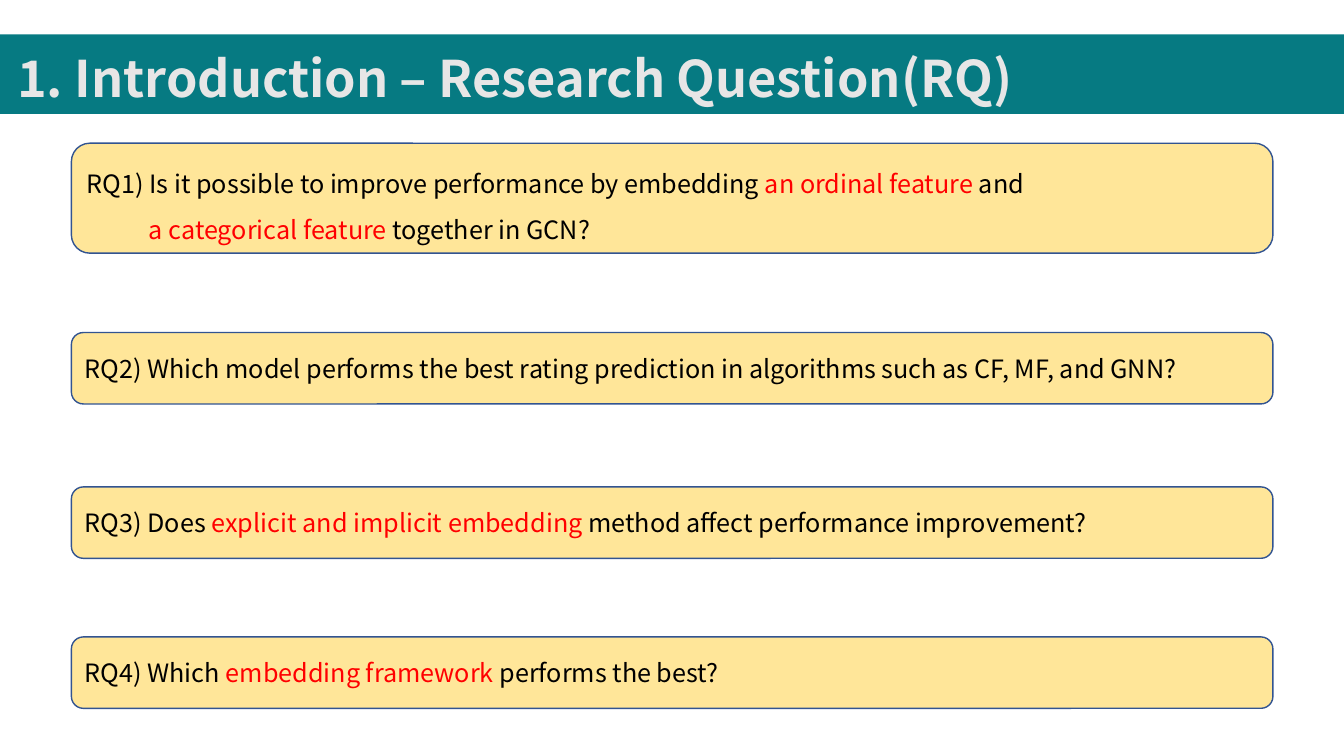
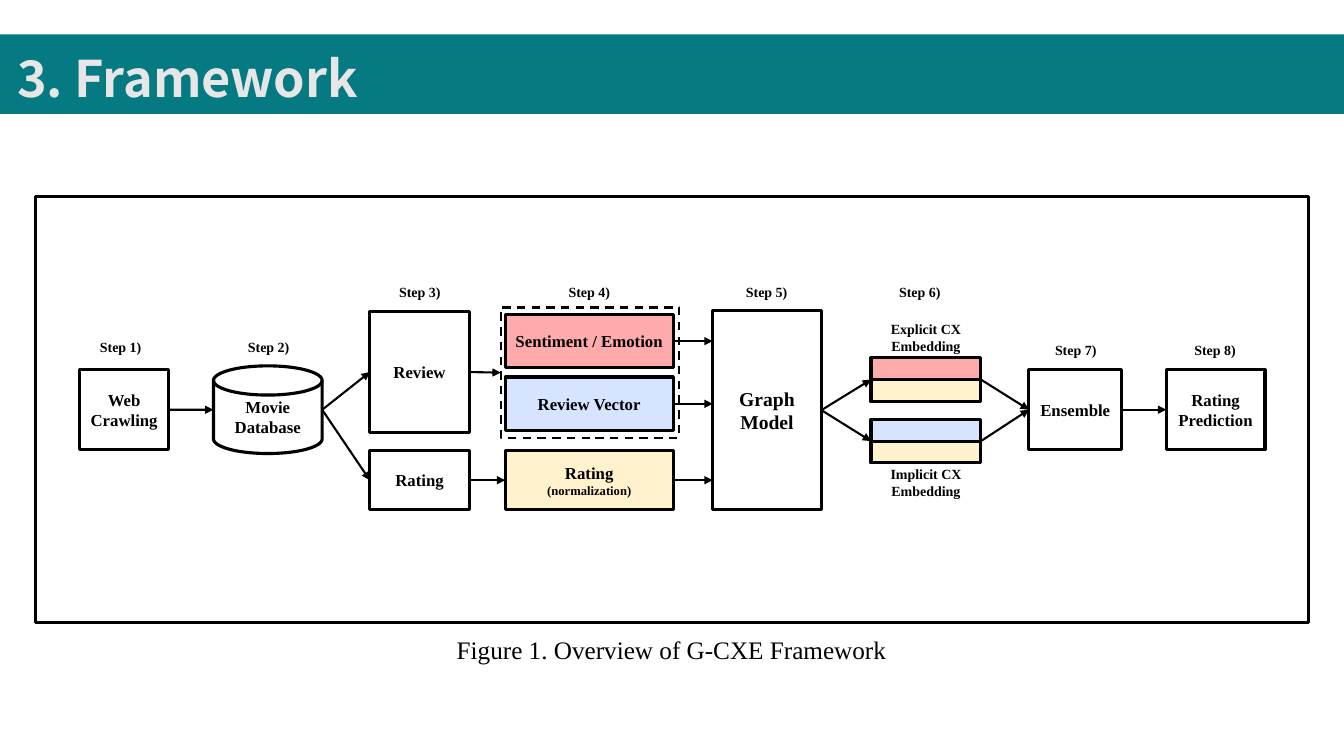
from dataclasses import dataclass

from lxml import etree
from pptx import Presentation
from pptx.dml.color import RGBColor
from pptx.enum.dml import MSO_LINE
from pptx.enum.shapes import MSO_CONNECTOR, MSO_SHAPE
from pptx.enum.text import MSO_ANCHOR, MSO_AUTO_SIZE, PP_ALIGN
from pptx.oxml.ns import qn
from pptx.util import Cm, Pt

RECT = MSO_SHAPE.RECTANGLE
ROUND = MSO_SHAPE.ROUNDED_RECTANGLE
DISK = MSO_SHAPE.FLOWCHART_MAGNETIC_DISK
STRAIGHT = MSO_CONNECTOR.STRAIGHT
DASH = MSO_LINE.DASH
LEFT, CENTER = PP_ALIGN.LEFT, PP_ALIGN.CENTER
TOP, MIDDLE = MSO_ANCHOR.TOP, MSO_ANCHOR.MIDDLE
GROW = MSO_AUTO_SIZE.SHAPE_TO_FIT_TEXT


@dataclass(frozen=True)
class Theme:
    """Colours, fonts and type sizes of the deck."""
    teal: str = "067A82"
    pale: str = "E7E6E6"
    ink: str = "000000"
    red: str = "FF0000"
    white: str = "FFFFFF"
    amber: str = "FFE699"
    navy: str = "325491"
    cream: str = "FFF2CC"
    pink: str = "FFABAB"
    sky: str = "D7E4FF"
    sans: str = "Noto Sans CJK KR"
    serif: str = "Times New Roman"
    title: int = 36
    body: int = 18
    model: int = 14
    node: int = 12
    label: int = 10
    note: int = 9
    border: float = 2.25
    thin: float = 1.5


T = Theme()
SLIDE_W, SLIDE_H = 33.87, 19.05

QUESTIONS = [
    (3.61, 2.77, ["RQ1) Is it possible to improve performance by embedding ",
                  "an ordinal feature ", "and\n",
                  "a categorical feature ", "together in GCN?"]),
    (8.38, 1.8, ["RQ2) Which model performs the best rating prediction "
                 "in algorithms such as CF, MF, and GNN?"]),
    (12.27, 1.8, ["RQ3) Does ", "explicit and implicit embedding",
                  " method affect performance improvement?"]),
    (16.05, 1.8, ["RQ4) Which ", "embedding framework",
                  " performs the best?"]),
]

STEPS = [(3.04, 8.41), (6.77, 8.41), (10.58, 7.01), (14.85, 7.01),
         (19.32, 7.01), (23.18, 7.01), (27.11, 8.48), (30.62, 8.48)]


def rgb(value):
    """Turn a hex string into a colour."""
    return RGBColor.from_string(value)


def write(s, *runs, size=T.node, font=T.serif, color=T.ink, bold=False,
          align=CENTER, anchor=MIDDLE, spacing=None, indent=0, wrap=True):
    """Write runs, given as text or (text, overrides); a newline starts a paragraph."""
    tf = s.text_frame
    tf.word_wrap = wrap
    tf.vertical_anchor = anchor
    p = tf.paragraphs[0]
    for run in runs:
        text, override = (run, {}) if isinstance(run, str) else run
        for i, part in enumerate(text.split("\n")):
            if i:
                p = tf.add_paragraph()
                if indent:
                    p._p.get_or_add_pPr().set("marL", str(Cm(indent)))
            p.alignment = align
            p.line_spacing = spacing
            if part:
                r = p.add_run()
                r.text = part
                r.font.name = font
                r.font.size = Pt(override.get("size", size))
                r.font.bold = bold
                r.font.color.rgb = rgb(override.get("color", color))


def add_box(slide, x, y, w, h, kind=RECT, fill=None, line=T.ink,
            width=T.border, dash=None):
    """Add a preset shape with an optional fill and outline."""
    s = slide.shapes.add_shape(kind, Cm(x), Cm(y), Cm(w), Cm(h))
    s.shadow.inherit = False
    if fill:
        s.fill.solid()
        s.fill.fore_color.rgb = rgb(fill)
    else:
        s.fill.background()
    if line:
        s.line.color.rgb = rgb(line)
        s.line.width = Pt(width)
        if dash:
            s.line.dash_style = dash
    else:
        s.line.fill.background()
    return s


def add_text(slide, x, y, w, h, text, **style):
    """Add a text box that grows with its text."""
    s = slide.shapes.add_textbox(Cm(x), Cm(y), Cm(w), Cm(h))
    s.text_frame.auto_size = GROW
    write(s, text, **style)


def add_node(slide, x, y, w, h, *runs, kind=RECT, fill=None, size=T.node):
    """Add a labelled step of the framework."""
    s = add_box(slide, x, y, w, h, kind=kind, fill=fill)
    write(s, *runs, size=size, bold=True, wrap=False)
    return s


def add_arrow(slide, src, dst, level=False):
    """Draw an arrow from the right of src to the left of dst."""
    y1 = src.top + src.height // 2
    y2 = y1 if level else dst.top + dst.height // 2
    c = slide.shapes.add_connector(STRAIGHT, src.left + src.width, y1,
                                   dst.left, y2)
    c.line.color.rgb = rgb(T.ink)
    c.line.width = Pt(T.thin)
    etree.SubElement(c.line._get_or_add_ln(), qn("a:tailEnd"), type="triangle")
    etree.SubElement(c._element.spPr, qn("a:effectLst"))


def add_embedding(slide, y, fill, label, label_y):
    """Add a two-colour embedding bar with its label."""
    x, w, h = 21.95, 2.77, 1.09
    bar = add_box(slide, x, y, w, h, fill=fill)
    add_box(slide, x, y + h / 2, w, h / 2, fill=T.cream)
    add_text(slide, x - 0.23, label_y, w + 0.46, 1.12, label,
             size=T.label, bold=True, anchor=TOP)
    return bar


def add_titled_slide(prs, title):
    """Add a blank slide with the title band."""
    slide = prs.slides.add_slide(prs.slide_layouts[6])
    add_box(slide, 0, 0.87, SLIDE_W, 2, fill=T.teal, line=None)
    add_text(slide, 0.18, 0.41, SLIDE_W - 0.18, 2.34, title, size=T.title,
             font=T.sans, color=T.pale, bold=True, align=LEFT, spacing=1.5)
    return slide


def build_questions(prs):
    """Build the research question slide."""
    slide = add_titled_slide(prs, "1. Introduction – Research Question(RQ)")
    for y, h, texts in QUESTIONS:
        s = add_box(slide, 1.8, y, 30.28, h, kind=ROUND, fill=T.amber,
                    line=T.navy, width=1)
        runs = [(text, {"color": T.red if i % 2 else T.ink})
                for i, text in enumerate(texts)]
        tall = len(texts) > 3
        write(s, *runs, size=T.body, font=T.sans, align=LEFT, indent=1.57,
              anchor=TOP if tall else MIDDLE, spacing=1.5 if tall else None)


def build_framework(prs):
    """Build the framework diagram slide."""
    slide = add_titled_slide(prs, "3. Framework")
    add_box(slide, 0.89, 4.95, 32.08, 10.74)
    add_text(slide, 10.36, 15.85, 13.13, 1.02,
             "Figure 1. Overview of G-CXE Framework", size=T.body, anchor=TOP)

    crawl = add_node(slide, 2.01, 9.32, 2.24, 2.01, "Web\nCrawling")
    database = add_node(slide, 5.38, 9.22, 2.74, 2.21, "Movie\nDatabase",
                        kind=DISK)
    review = add_node(slide, 9.32, 7.85, 2.51, 3.05, "Review")
    rating = add_node(slide, 9.32, 11.35, 2.51, 1.5, "Rating")
    features = add_box(slide, 12.62, 7.75, 4.5, 3.28, width=T.thin, dash=DASH)
    sentiment = add_node(slide, 12.73, 7.92, 4.24, 1.35,
                         "Sentiment / Emotion", fill=T.pink)
    vector = add_node(slide, 12.73, 9.5, 4.24, 1.35, "Review Vector",
                      fill=T.sky)
    normalized = add_node(slide, 12.73, 11.35, 4.24, 1.5, "Rating\n",
                          ("(normalization)", {"size": T.note}), fill=T.cream)
    graph = add_node(slide, 17.96, 7.82, 2.74, 5.03, "Graph\nModel",
                     fill=T.white, size=T.model)
    explicit = add_embedding(slide, 9.02, T.pink, "Explicit CX Embedding", 7.95)
    implicit = add_embedding(slide, 10.57, T.sky, "Implicit CX Embedding", 11.61)
    ensemble = add_node(slide, 25.93, 9.32, 2.34, 2.01, "Ensemble")
    prediction = add_node(slide, 29.39, 9.32, 2.49, 2.01, "Rating\nPrediction")

    for src, dst in [(crawl, database), (database, review), (database, rating),
                     (review, features), (rating, normalized),
                     (graph, explicit), (graph, implicit),
                     (explicit, ensemble), (implicit, ensemble),
                     (ensemble, prediction)]:
        add_arrow(slide, src, dst)
    for src in (sentiment, vector, normalized):
        add_arrow(slide, src, graph, level=True)

    for number, (center, y) in enumerate(STEPS, 1):
        add_text(slide, center - 0.85, y, 1.7, 0.69, f"Step {number})",
                 size=T.label, bold=True, anchor=TOP)


def main():
    """Build and save the deck."""
    prs = Presentation()
    prs.slide_width, prs.slide_height = Cm(SLIDE_W), Cm(SLIDE_H)
    build_questions(prs)
    build_framework(prs)
    prs.save("out.pptx")


if __name__ == "__main__":
    main()
